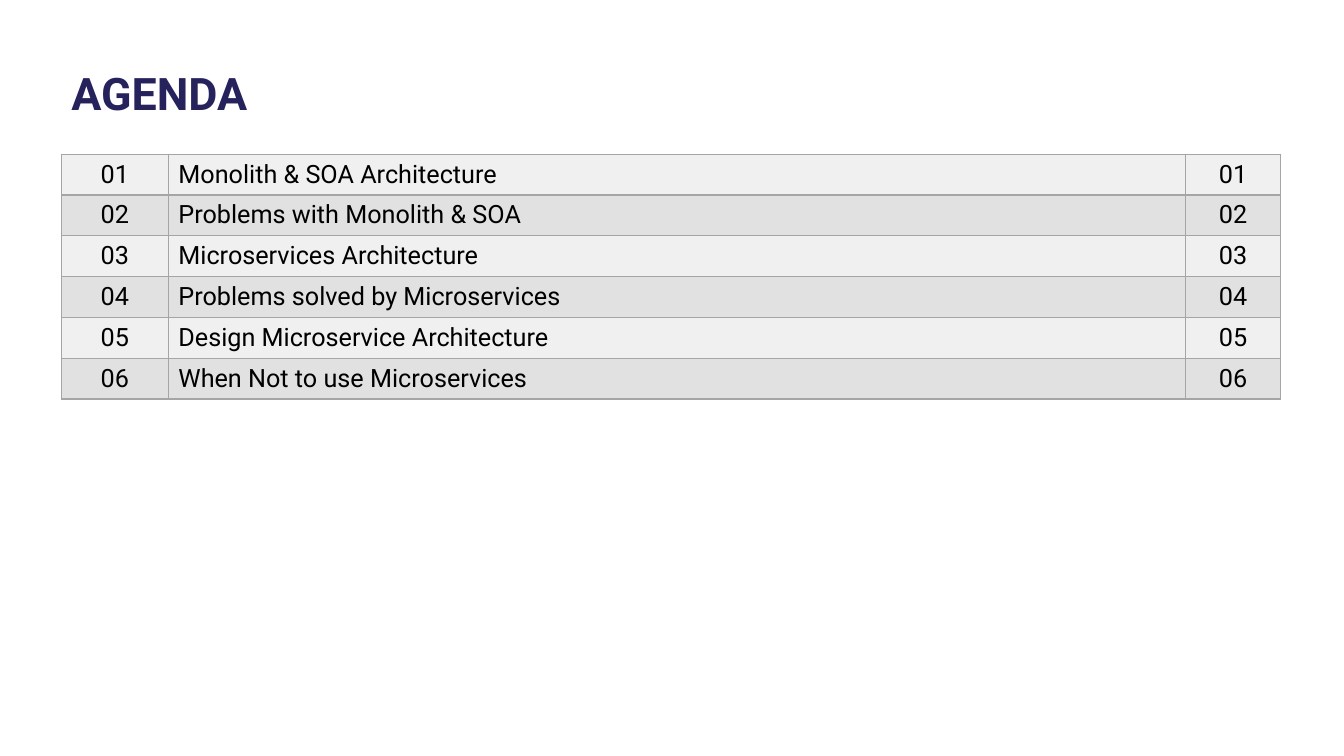
from dataclasses import dataclass

from lxml.etree import SubElement
from pptx import Presentation
from pptx.dml.color import RGBColor
from pptx.enum.text import MSO_ANCHOR, MSO_AUTO_SIZE, PP_ALIGN
from pptx.oxml.ns import qn
from pptx.slide import Slide
from pptx.table import _Cell
from pptx.text.text import TextFrame
from pptx.util import Inches, Pt

FONT = "Roboto"
TITLE_COLOR = "26225B"
TEXT_COLOR = "000000"
BORDER_COLOR = "A5A5A5"
BAND_COLORS = ("F0F0F0", "E1E1E1")
LEFT = 0.61
TABLE_TOP = 1.53
TABLE_HEIGHT = 2.43
TOPICS = (
    "Monolith & SOA Architecture",
    "Problems with Monolith & SOA",
    "Microservices Architecture",
    "Problems solved by Microservices",
    "Design Microservice Architecture",
    "When Not to use Microservices",
)


@dataclass(frozen=True)
class Column:
    width: float
    align: PP_ALIGN


COLUMNS = (
    Column(1.06, PP_ALIGN.CENTER),
    Column(10.09, PP_ALIGN.LEFT),
    Column(0.94, PP_ALIGN.CENTER),
)


def color(value: str) -> RGBColor:
    return RGBColor.from_string(value)


def write(frame: TextFrame, text: str, size: float, text_color: str,
          align: PP_ALIGN = PP_ALIGN.LEFT, bold: bool = False) -> None:
    frame.text = text
    para = frame.paragraphs[0]
    para.alignment = align
    font = para.runs[0].font
    font.name = FONT
    font.size = Pt(size)
    font.bold = bold
    font.color.rgb = color(text_color)


def add_borders(cell: _Cell) -> None:
    properties = cell._tc.get_or_add_tcPr()
    for side in ("a:lnL", "a:lnR", "a:lnT", "a:lnB"):
        line = SubElement(properties, qn(side), w=str(Pt(1)))
        fill = SubElement(line, qn("a:solidFill"))
        SubElement(fill, qn("a:srgbClr"), val=BORDER_COLOR)


def add_title(page: Slide) -> None:
    box = page.shapes.add_textbox(Inches(LEFT), Inches(0.6), Inches(2.08), Inches(0.64))
    frame = box.text_frame
    frame.word_wrap = False
    frame.auto_size = MSO_AUTO_SIZE.SHAPE_TO_FIT_TEXT
    write(frame, "AGENDA", 32, TITLE_COLOR, bold=True)


def add_agenda(page: Slide) -> None:
    width = sum(column.width for column in COLUMNS)
    table = page.shapes.add_table(
        len(TOPICS), len(COLUMNS), Inches(LEFT), Inches(TABLE_TOP),
        Inches(width), Inches(TABLE_HEIGHT)).table
    table.first_row = False
    for table_column, column in zip(table.columns, COLUMNS):
        table_column.width = Inches(column.width)

    for row, topic in enumerate(TOPICS):
        number = f"{row + 1:02}"
        for index, text in enumerate((number, topic, number)):
            cell = table.cell(row, index)
            add_borders(cell)
            cell.fill.solid()
            cell.fill.fore_color.rgb = color(BAND_COLORS[row % 2])
            cell.vertical_anchor = MSO_ANCHOR.MIDDLE
            write(cell.text_frame, text, 18, TEXT_COLOR, COLUMNS[index].align)


def main() -> None:
    deck = Presentation()
    deck.slide_width = Inches(13.33)
    deck.slide_height = Inches(7.5)
    page = deck.slides.add_slide(deck.slide_layouts[6])
    add_title(page)
    add_agenda(page)
    deck.save("out.pptx")


if __name__ == "__main__":
    main()
